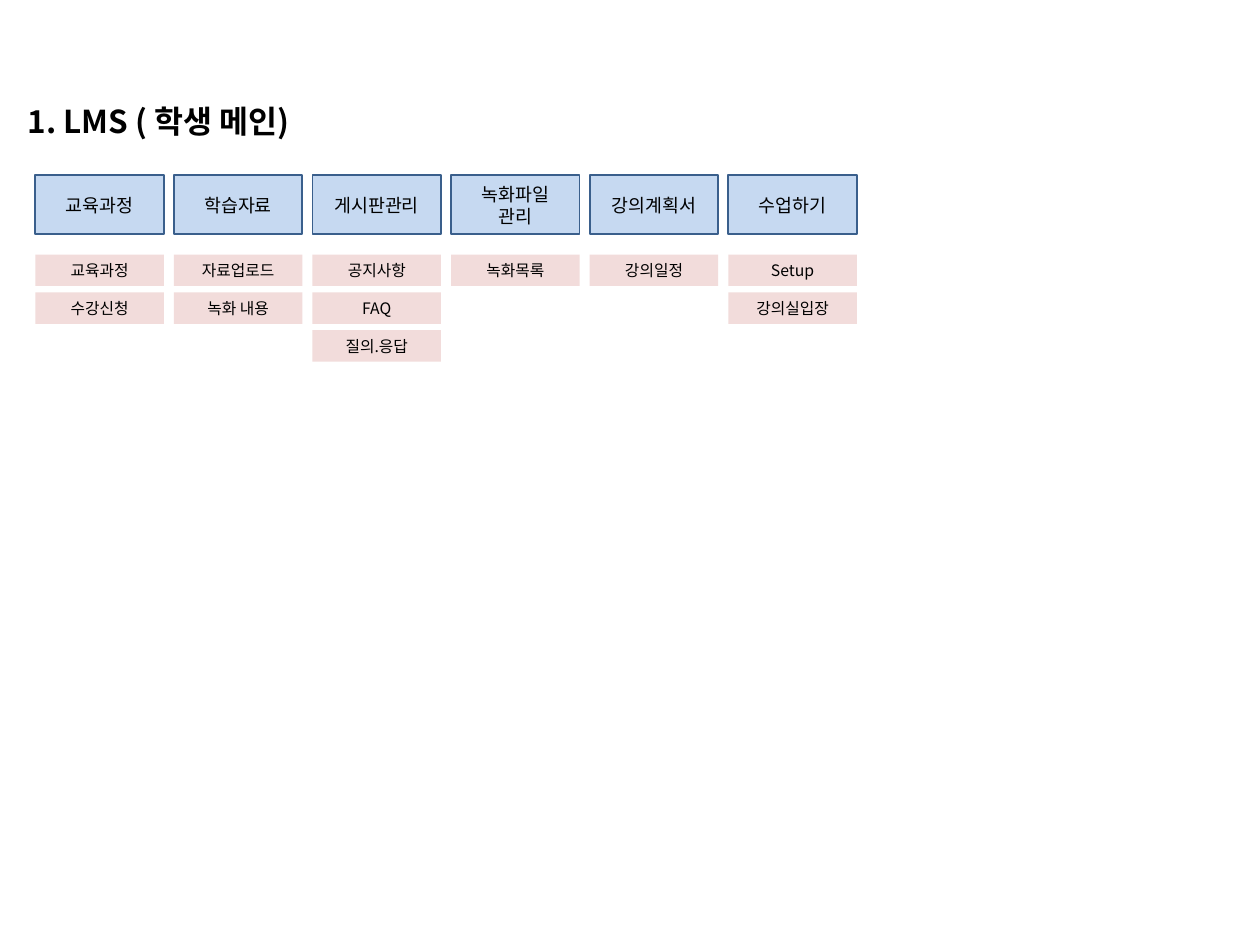
from dataclasses import dataclass

import pptx
import pptx.dml.color
import pptx.enum.shapes
import pptx.enum.text
import pptx.oxml.ns
import pptx.util
from lxml import etree

Inches = pptx.util.Inches


@dataclass(frozen=True)
class Theme:
    font: str = "Noto Sans CJK KR"
    text: str = "000000"
    menu_fill: str = "C6D9F1"
    menu_line: str = "3A5F8C"
    item_fill: str = "F2DCDB"
    title_size: float = 18
    menu_size: float = 10.5
    item_size: float = 9


THEME = Theme()
LEFT, COLUMN_STEP, BOX_WIDTH = 0.28, 1.1, 1.02
MENU_TOP, MENU_HEIGHT = 1.39, 0.47
ITEM_TOP, ITEM_STEP, ITEM_HEIGHT = 2.02, 0.3, 0.25

# A vertical tab in a label is a line break within its paragraph.
MENUS = {
    "교육과정": ["교육과정", "수강신청"],
    "학습자료": ["자료업로드", "녹화 내용"],
    "게시판관리": ["공지사항", "FAQ", "질의.응답"],
    "녹화파일\v관리": ["녹화목록"],
    "강의계획서": ["강의일정"],
    "수업하기": ["Setup", "강의실입장"],
}


def rgb(value):
    return pptx.dml.color.RGBColor.from_string(value)


def write_text(shape, text, size, alignment, bold=False):
    shape.text_frame.text = text
    paragraph = shape.text_frame.paragraphs[0]
    paragraph.alignment = alignment
    font_format = {"name": THEME.font, "size": pptx.util.Pt(size), "bold": bold}
    for run in paragraph.runs:
        for name, value in font_format.items():
            setattr(run.font, name, value)
        run.font.color.rgb = rgb(THEME.text)
        east_asian = etree.SubElement(run.font._element, pptx.oxml.ns.qn("a:ea"))
        east_asian.set("typeface", THEME.font)


def add_title(slide, text):
    box = slide.shapes.add_textbox(*map(Inches, (0.12, 0.76, 2.48, 0.4)))
    box.text_frame.word_wrap = False
    write_text(box, text, THEME.title_size, pptx.enum.text.PP_ALIGN.LEFT, bold=True)


def add_box(slide, column, top, height, text, size, fill, line=None):
    left = LEFT + column * COLUMN_STEP
    shape = slide.shapes.add_shape(
        pptx.enum.shapes.MSO_SHAPE.RECTANGLE,
        *map(Inches, (left, top, BOX_WIDTH, height)),
    )
    shape.shadow.inherit = False
    shape.fill.solid()
    shape.fill.fore_color.rgb = rgb(fill)
    if line:
        shape.line.color.rgb = rgb(line)
        shape.line.width = pptx.util.Pt(1)
    else:
        shape.line.fill.background()
    frame_format = {
        "word_wrap": True,
        "vertical_anchor": pptx.enum.text.MSO_ANCHOR.MIDDLE,
    }
    for name, value in frame_format.items():
        setattr(shape.text_frame, name, value)
    write_text(shape, text, size, pptx.enum.text.PP_ALIGN.CENTER)


def add_menu(slide, column, heading, items):
    """Draw one column: a heading box with its items stacked below."""
    add_box(slide, column, MENU_TOP, MENU_HEIGHT, heading,
            THEME.menu_size, THEME.menu_fill, THEME.menu_line)
    for row, item in enumerate(items):
        add_box(slide, column, ITEM_TOP + row * ITEM_STEP, ITEM_HEIGHT, item,
                THEME.item_size, THEME.item_fill)


def main():
    presentation = pptx.Presentation()
    presentation.slide_width = Inches(10)
    presentation.slide_height = Inches(7.5)
    slide = presentation.slides.add_slide(presentation.slide_layouts[6])
    add_title(slide, "1. LMS ( 학생 메인)")
    for column, (heading, items) in enumerate(MENUS.items()):
        add_menu(slide, column, heading, items)
    presentation.save("out.pptx")


if __name__ == "__main__":
    main()
